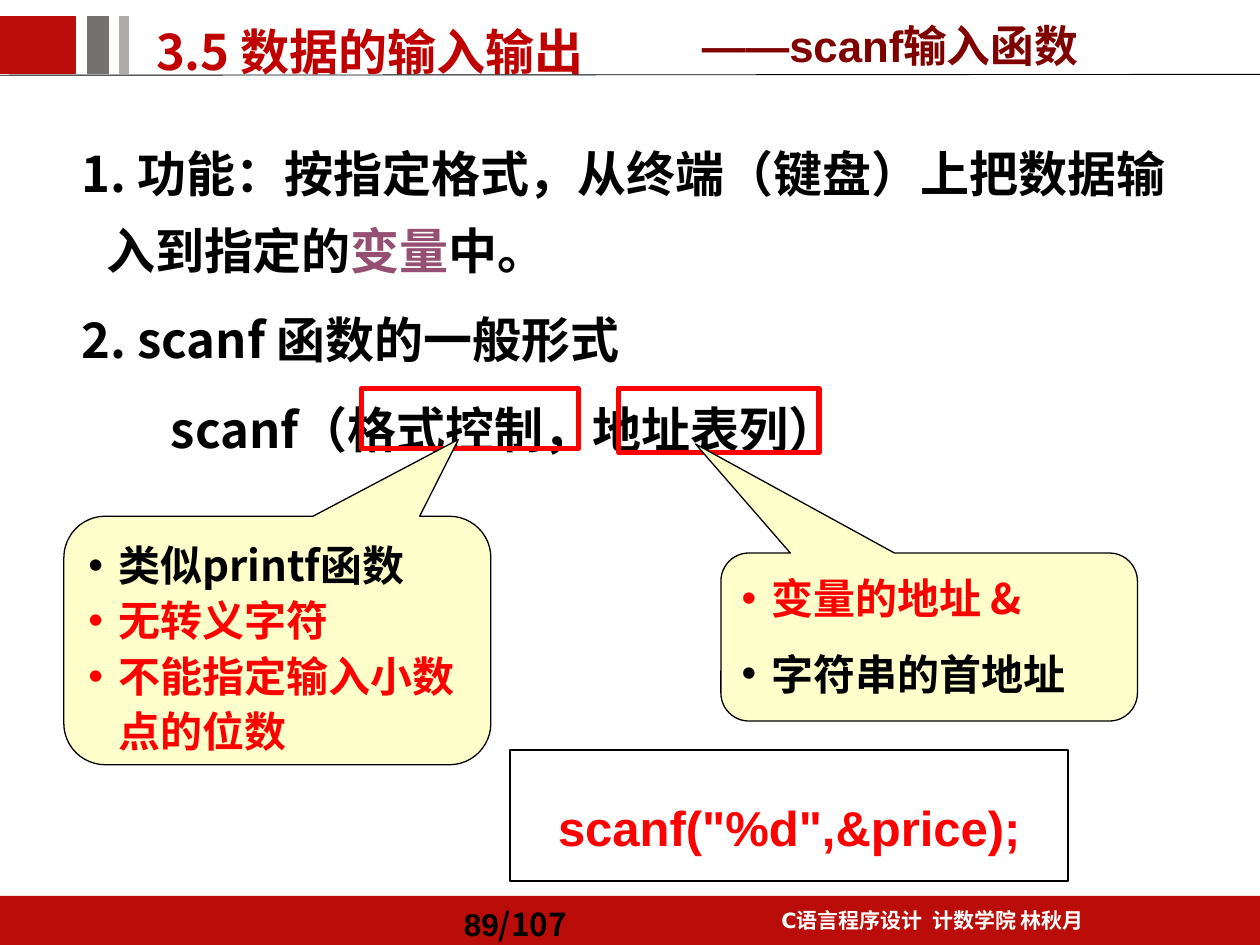
from dataclasses import dataclass
from pptx import Presentation
from pptx.dml.color import RGBColor
from pptx.enum.shapes import MSO_SHAPE
from pptx.enum.text import MSO_ANCHOR, PP_ALIGN
from pptx.oxml.ns import qn
from pptx.util import Pt
from lxml import etree

RECT, CALLOUT = MSO_SHAPE.RECTANGLE, MSO_SHAPE.ROUNDED_RECTANGULAR_CALLOUT
LEFT, CENTER = PP_ALIGN.LEFT, PP_ALIGN.CENTER
TOP, MIDDLE, BOTTOM = MSO_ANCHOR.TOP, MSO_ANCHOR.MIDDLE, MSO_ANCHOR.BOTTOM


@dataclass
class Theme:
    brand: str = "BA0D09"
    gray: str = "767171"
    silver: str = "AFABAB"
    title: str = "C00000"
    subtitle: str = "800000"
    accent: str = "954F72"
    red: str = "FF0000"
    black: str = "000000"
    white: str = "FFFFFF"
    cream: str = "FFFFCC"
    cjk: str = "Noto Sans CJK SC"
    latin: str = "Arial"
    footer: str = "DejaVu Sans"
    big: int = 28
    sub: int = 25
    note: int = 24
    page: int = 18
    small: int = 12


T = Theme()


def add_box(kind, x, y, w, h, fill=None, line=None, weight=1):
    sp = s.shapes.add_shape(kind, Pt(x), Pt(y), Pt(w), Pt(h))
    sp.shadow.inherit = False
    if fill:
        sp.fill.solid()
        sp.fill.fore_color.rgb = RGBColor.from_string(fill)
    else:
        sp.fill.background()
    if line:
        sp.line.color.rgb = RGBColor.from_string(line)
        sp.line.width = Pt(weight)
    else:
        sp.line.fill.background()
    return sp


def write(sp, paragraphs, size, font=T.cjk, align=LEFT, anchor=TOP, spacing=1.0,
          before=0, hang=0, bullet=False):
    """Each paragraph is a list of (text, colour) runs."""
    tf = sp.text_frame
    tf.word_wrap = True
    tf.vertical_anchor = anchor
    for i, runs in enumerate(paragraphs):
        p = tf.paragraphs[0] if i == 0 else tf.add_paragraph()
        p.alignment, p.line_spacing = align, spacing
        p.space_before = Pt(before if i else 0)
        pPr = p._p.get_or_add_pPr()
        pPr.set("marL", str(Pt(hang)))
        pPr.set("indent", str(-Pt(hang)))
        if bullet:
            etree.SubElement(pPr, qn("a:buFont"), typeface=T.latin)
            etree.SubElement(pPr, qn("a:buChar"), char="•")
        else:
            etree.SubElement(pPr, qn("a:buNone"))
        for text, color in runs:
            r = p.add_run()
            r.text = text
            r.font.name, r.font.size, r.font.bold = font, Pt(size), True
            r.font.color.rgb = RGBColor.from_string(color)
            etree.SubElement(r._r.get_or_add_rPr(), qn("a:ea"), typeface=T.cjk)
    return tf


prs = Presentation()
prs.slide_width, prs.slide_height = Pt(720), Pt(540)
s = prs.slides.add_slide(prs.slide_layouts[1])
title, body = s.placeholders

# Footer band and header blocks
add_box(RECT, 0, 512, 720, 28, T.brand)
for x, w, color in [(0, 43, T.brand), (50, 12, T.gray), (68.5, 4.5, T.silver)]:
    add_box(RECT, x, 9.5, w, 32.5, color, color)
rule = s.shapes.add_connector(1, Pt(0), Pt(43), Pt(720), Pt(42.5))
rule.line.color.rgb = RGBColor.from_string(T.black)
rule.line.width = Pt(0.5)
etree.SubElement(rule._element.spPr, qn("a:effectLst"))

# Footer text
sp = s.shapes.add_textbox(Pt(405.5), Pt(512), Pt(255), Pt(24.5))
write(sp, [[("C语言程序设计  计数学院 林秋月", T.white)]], T.small, T.footer, CENTER,
      spacing=1.2)
sp = s.shapes.add_textbox(Pt(258), Pt(512), Pt(102), Pt(28))
tf = write(sp, [[("89", T.black), ("/107", T.black)]], T.page, T.latin,
           anchor=MIDDLE, spacing=1.2)
tf.paragraphs[0].runs[1].font.name = T.cjk

# Title and subtitle
title.left, title.top, title.width, title.height = Pt(82), Pt(2), Pt(346), Pt(47.5)
write(title, [[("3.5 数据的输入输出", T.title)]], T.big, spacing=1.2)
sp = s.shapes.add_textbox(Pt(394), Pt(7), Pt(312), Pt(37.5))
write(sp, [[("——scanf输入函数", T.subtitle)]], T.sub, T.latin, anchor=BOTTOM)

# Body
body.left, body.top, body.width, body.height = Pt(39.5), Pt(68.5), Pt(648), Pt(343.5)
tf = write(body, [
    [("1. 功能：按指定格式，从终端（键盘）上把数据输入到指定的", T.black),
     ("变量", T.accent), ("中。", T.black)],
    [("2. scanf 函数的一般形式", T.black)],
    [("scanf（格式控制，地址表列）", T.black)],
], T.big, spacing=1.3, before=7.5, hang=14)
pPr = tf.paragraphs[2]._p.pPr
pPr.set("marL", str(Pt(51)))
pPr.set("indent", "0")

# Frames around the two arguments, each with its callout
for x, w, h in [(206.5, 124, 34.5), (353.5, 114.5, 36.5)]:
    add_box(RECT, x, 222, w, h, line=T.red, weight=3)

callouts = [
    ((36.5, 295, 244, 142), (0.424, -0.809), 1.1,
     [("类似printf函数", T.black), ("无转义字符", T.red),
      ("不能指定输入小数点的位数", T.red)]),
    ((412, 316, 238, 96), (-0.561, -1.149), 1.1,
     [("变量的地址 &", T.red), ("字符串的首地址", T.black)]),
]
for place, tip, spacing, items in callouts:
    sp = add_box(CALLOUT, *place, T.cream, T.black, 0.75)
    sp.adjustments[0], sp.adjustments[1] = tip
    tf = write(sp, [[item] for item in items], T.note, spacing=spacing,
               hang=17, bullet=True)
tf.paragraphs[1].line_spacing = 1.5

# Example call
sp = add_box(RECT, 291.5, 428.5, 319, 75, T.white, T.black)
write(sp, [[('scanf("%d",&price);', T.red)]], T.big, T.latin, CENTER, spacing=1.7)

prs.save("out.pptx")
